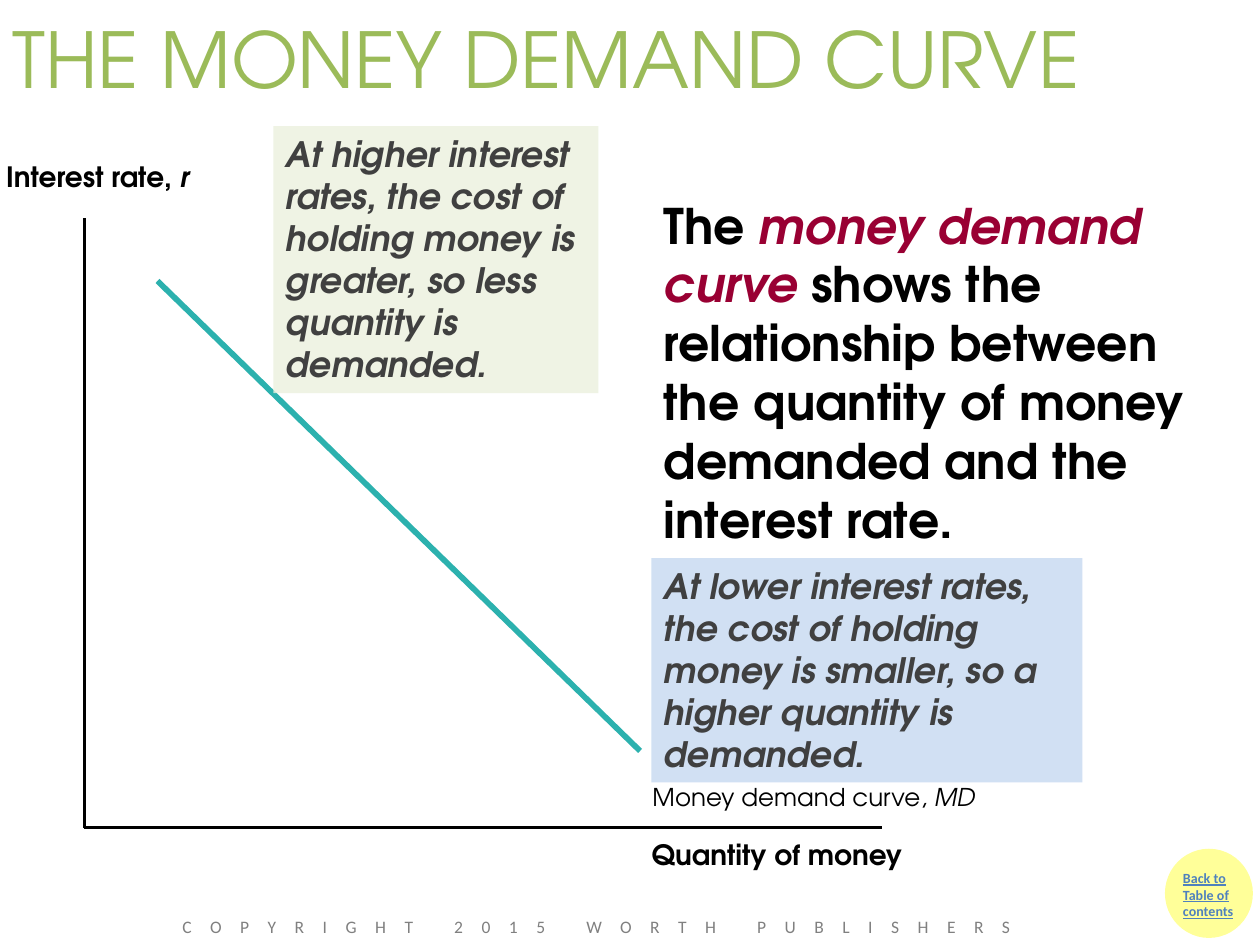
from dataclasses import dataclass

from lxml import etree
from pptx import Presentation
from pptx.dml.color import RGBColor
from pptx.enum.shapes import MSO_CONNECTOR, MSO_SHAPE
from pptx.enum.text import MSO_ANCHOR, PP_ALIGN
from pptx.oxml.ns import qn
from pptx.util import Inches, Pt

STRAIGHT = MSO_CONNECTOR.STRAIGHT
RECTANGLE, OVAL = MSO_SHAPE.RECTANGLE, MSO_SHAPE.OVAL
LEFT, RIGHT = PP_ALIGN.LEFT, PP_ALIGN.RIGHT
TOP, MIDDLE = MSO_ANCHOR.TOP, MSO_ANCHOR.MIDDLE


@dataclass(frozen=True)
class Theme:
    display: str = "TeX Gyre Adventor"
    small: str = "Calibri"
    black: str = "000000"
    title: str = "9BBB59"
    term: str = "990033"
    note: str = "404040"
    link: str = "4F81BD"
    footer: str = "808080"
    curve: str = "2CB1AE"
    high_rate: str = "EBF1DE"
    low_rate: str = "C6D9F1"
    button: str = "FFFF99"
    title_size: int = 44
    body_size: int = 28
    note_size: int = 20
    axis_size: int = 16
    label_size: int = 14
    footer_size: int = 10
    link_size: int = 8


THEME = Theme()


def style(size, color=THEME.black, name=THEME.display, **extra):
    return {"size": Pt(size), "color": color, "name": name, **extra}


def write(shape, spans, align=LEFT, anchor=TOP, margin=None, wrap=True):
    """Fill a shape with one paragraph of (text, format) spans."""
    frame = shape.text_frame
    frame.word_wrap = wrap
    frame.vertical_anchor = anchor
    if margin is not None:
        for side in ("left", "right", "top", "bottom"):
            setattr(frame, f"margin_{side}", Inches(margin))
    para = frame.paragraphs[0]
    para.alignment = align
    for text, look in spans:
        span = para.add_run()
        span.text = text
        for key, value in look.items():
            if key == "color":
                span.font.color.rgb = RGBColor.from_string(value)
            else:
                setattr(span.font, key, value)
    return para


def add_text(page, place, spans, **layout):
    box = page.shapes.add_textbox(*map(Inches, place))
    return write(box, spans, **layout)


def add_panel(page, kind, place, color, opacity=100):
    panel = page.shapes.add_shape(kind, *map(Inches, place))
    panel.shadow.inherit = False
    panel.fill.solid()
    panel.fill.fore_color.rgb = RGBColor.from_string(color)
    panel.line.fill.background()
    if opacity < 100:
        tint = panel.fill._xPr.find(f".//{qn('a:srgbClr')}")
        etree.SubElement(tint, qn("a:alpha"), val=str(opacity * 1000))
    return panel


def add_note(page, place, color, text):
    panel = add_panel(page, RECTANGLE, place, color, opacity=80)
    write(panel, [(text, style(THEME.note_size, THEME.note, bold=True, italic=True))])


def add_line(page, start, end, color, width):
    line = page.shapes.add_connector(STRAIGHT, *map(Inches, start + end))
    line.line.color.rgb = RGBColor.from_string(color)
    line.line.width = Pt(width)
    etree.SubElement(line._element.spPr, qn("a:effectLst"))


def add_contents_button(page):
    button = add_panel(page, OVAL, (9.26, 6.75, 0.67, 0.68), THEME.button)
    button.line.color.rgb = RGBColor.from_string(THEME.button)
    button.line.width = Pt(2)
    look = style(THEME.link_size, THEME.link, THEME.small, bold=True, underline=True)
    add_text(page, (9.29, 6.85, 0.72, 0.67), [("Back to Table of contents", look)])


def add_graph(page):
    origin = (0.67, 6.57)
    for axis_end in ((0.67, 1.73), (7, 6.57)):
        add_line(page, origin, axis_end, THEME.black, 1.5)
    axis = style(THEME.axis_size, bold=True)
    add_text(page, (0, 1.27, 1.5, 0.27),
             [("Interest rate,", axis), (" r", {**axis, "italic": True})],
             align=RIGHT, margin=0)
    add_text(page, (5.08, 6.65, 2.08, 0.27), [("Quantity of money", axis)],
             align=RIGHT, margin=0)
    label = style(THEME.label_size)
    add_text(page, (5.08, 6.16, 2.81, 0.34),
             [("Money demand curve, ", label), ("MD", {**label, "italic": True})],
             wrap=False)
    add_line(page, (1.25, 2.23), (5.08, 5.96), THEME.curve, 3.25)


def add_definition(page):
    body = style(THEME.body_size, bold=True)
    term = {**body, "color": THEME.term, "italic": True}
    add_text(page, (5.17, 1.5, 4.75, 2.93), [
        ("The ", body),
        ("money demand curve ", term),
        ("shows the relationship between the quantity of money demanded "
         "and the interest rate.", body),
    ])


def add_footer(page):
    look = style(THEME.footer_size, THEME.footer, THEME.small)
    para = add_text(page, (1.35, 7.22, 7.76, 0.25),
                    [("COPYRIGHT 2015 WORTH PUBLISHERS", look)])
    para.runs[0].font._element.set("spc", "1060")


def main():
    deck = Presentation()
    deck.slide_width, deck.slide_height = Inches(10), Inches(7.5)
    page = deck.slides.add_slide(deck.slide_layouts[6])
    add_contents_button(page)
    add_text(page, (0, 0, 10, 0.92),
             [("THE MONEY DEMAND CURVE", style(THEME.title_size, THEME.title))],
             anchor=MIDDLE)
    add_graph(page)
    add_definition(page)
    add_note(page, (2.17, 1, 2.58, 2.12), THEME.high_rate,
             "At higher interest rates, the cost of holding money is greater, "
             "so less quantity is demanded.")
    add_note(page, (5.17, 4.43, 3.42, 1.78), THEME.low_rate,
             "At lower interest rates, the cost of holding money is smaller, "
             "so a higher quantity is demanded.")
    add_footer(page)
    deck.save("out.pptx")


if __name__ == "__main__":
    main()
